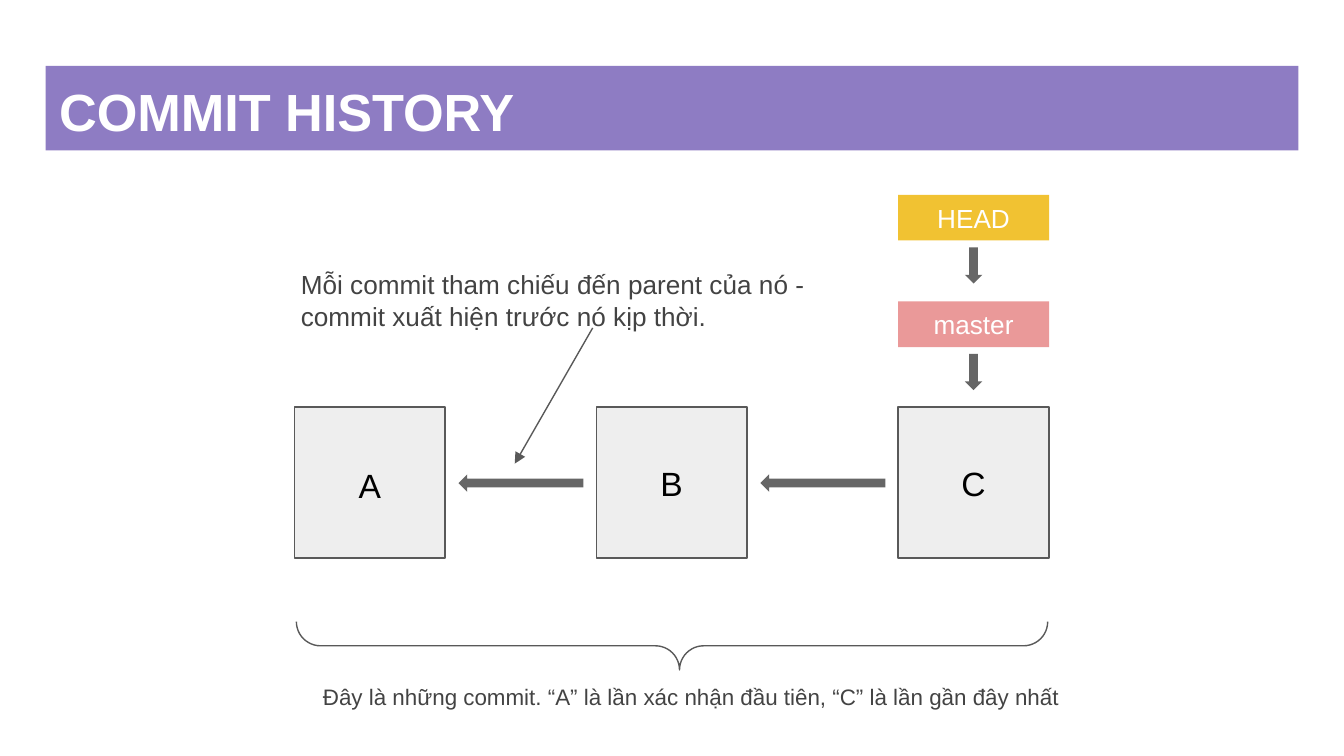
"""Build the commit history slide on a grid of 100 columns by 56.25 rows."""
from dataclasses import dataclass

from lxml.etree import SubElement
from pptx import Presentation
from pptx.dml.color import RGBColor
from pptx.enum.shapes import MSO_CONNECTOR, MSO_SHAPE
from pptx.enum.text import MSO_ANCHOR, MSO_AUTO_SIZE, PP_ALIGN
from pptx.oxml.ns import qn
from pptx.util import Inches, Pt


@dataclass(frozen=True)
class Theme:
    """Colours, font and type sizes of the slide."""
    font: str = "Arial"
    title_fill: str = "8E7CC3"
    commit_fill: str = "EEEEEE"
    head_fill: str = "F1C232"
    master_fill: str = "EA9999"
    arrow_fill: str = "666666"
    outline: str = "595959"
    light: str = "FFFFFF"
    body: str = "434343"
    dark: str = "000000"
    title_size: int = 28
    commit_size: int = 18
    label_size: int = 14
    caption_size: int = 12
    line_width: float = 0.75


class SlideBuilder:
    """Draws elements at (column, row, columns, rows) in the theme's style."""

    def __init__(self, presentation, theme):
        """Add a title-only slide to the presentation."""
        self.theme = theme
        self.cell = presentation.slide_width / 100
        self.slide = presentation.slides.add_slide(presentation.slide_layouts[5])

    def place(self, area):
        """Turn grid units into slide lengths."""
        return [round(value * self.cell) for value in area]

    def fill_text(self, shape, text, size, color, align=PP_ALIGN.CENTER,
                  anchor=MSO_ANCHOR.MIDDLE, bold=False):
        """Put one formatted run in a shape."""
        frame = shape.text_frame
        frame.word_wrap = True
        frame.auto_size = MSO_AUTO_SIZE.NONE
        frame.vertical_anchor = anchor
        frame.margin_left = frame.margin_right = Inches(0.1)
        frame.margin_top = frame.margin_bottom = Inches(0.1)
        paragraph = frame.paragraphs[0]
        paragraph.alignment = align
        run = paragraph.add_run()
        run.text = text
        run.font.name = self.theme.font
        run.font.size = Pt(size)
        run.font.bold = bold
        run.font.color.rgb = RGBColor.from_string(color)

    def outline(self, line):
        """Give a line the theme's thin stroke."""
        line.color.rgb = RGBColor.from_string(self.theme.outline)
        line.width = Pt(self.theme.line_width)

    def title(self, text, area):
        """Format the title placeholder as a coloured band."""
        shape = self.slide.shapes.title
        shape.left, shape.top, shape.width, shape.height = self.place(area)
        shape.fill.solid()
        shape.fill.fore_color.rgb = RGBColor.from_string(self.theme.title_fill)
        self.fill_text(shape, text, self.theme.title_size, self.theme.light,
                       PP_ALIGN.LEFT, MSO_ANCHOR.TOP, True)

    def shape(self, kind, area, fill=None, outlined=False):
        """Add a preset shape."""
        shape = self.slide.shapes.add_shape(kind, *self.place(area))
        shape.shadow.inherit = False
        if fill:
            shape.fill.solid()
            shape.fill.fore_color.rgb = RGBColor.from_string(fill)
        else:
            shape.fill.background()
        if outlined:
            self.outline(shape.line)
        else:
            shape.line.fill.background()
        return shape

    def text(self, text, area, size, color, **style):
        """Add a text box."""
        box = self.slide.shapes.add_textbox(*self.place(area))
        self.fill_text(box, text, size, color, **style)
        return box

    def label(self, text, area, fill):
        """Add a filled reference label."""
        shape = self.shape(MSO_SHAPE.RECTANGLE, area, fill)
        self.fill_text(shape, text, self.theme.label_size, self.theme.light)

    def brace(self, area, tip):
        """Add a brace that opens upward."""
        shape = self.shape(MSO_SHAPE.LEFT_BRACE, area, outlined=True)
        shape.rotation = 270
        shape.adjustments[0] = 0.5
        shape.adjustments[1] = tip

    def pointer(self, box, start, end):
        """Add a thin arrow from the bottom of a box to a point."""
        connector = self.slide.shapes.add_connector(
            MSO_CONNECTOR.STRAIGHT, *self.place(start + end))
        connector.begin_connect(box, 2)
        self.outline(connector.line)
        properties = connector.element.spPr
        SubElement(properties.get_or_add_ln(), qn("a:tailEnd"), type="triangle")
        SubElement(properties, qn("a:effectLst"))


def main():
    """Build and save the slide."""
    presentation = Presentation()
    presentation.slide_width, presentation.slide_height = Inches(10), Inches(5.625)
    theme = Theme()
    builder = SlideBuilder(presentation, theme)
    builder.title("COMMIT HISTORY", (3.4, 4.9, 93.2, 6.3))

    side, first, last, commit_row = 11.23, 21.9, 66.83, 30.3
    pitch = (last - first) / 2
    for index, (name, drop) in enumerate((("A", 0.2), ("B", 0), ("C", 0))):
        left = first + index * pitch
        builder.shape(MSO_SHAPE.RECTANGLE, (left, commit_row, side, side),
                      theme.commit_fill, True)
        builder.text(name, (left, commit_row + drop, side, side),
                     theme.commit_size, theme.dark)
        if index:
            builder.shape(MSO_SHAPE.LEFT_ARROW,
                          (left - 10.25, commit_row + 5, 9.3, 1.3), theme.arrow_fill)

    references = (("HEAD", theme.head_fill), ("master", theme.master_fill))
    for index, (name, fill) in enumerate(references):
        top = 14.5 + index * 7.93
        builder.label(name, (last, top, side, 3.4), fill)
        builder.shape(MSO_SHAPE.DOWN_ARROW,
                      (last + side / 2 - 0.65, top + 3.9, 1.3, 2.7), theme.arrow_fill)

    builder.brace((48.2, 20.1, 3.6, 55.9), 0.51)
    builder.text("Đây là những commit. “A” là lần xác nhận đầu tiên, “C” là lần gần đây nhất",
                 (22, 49.8, 58.9, 3.4), theme.caption_size, theme.body,
                 anchor=MSO_ANCHOR.TOP)
    note = builder.text(
        "Mỗi commit tham chiếu đến parent của nó - commit xuất hiện trước nó kịp thời.",
        (21.4, 19, 45.4, 5.4), theme.label_size, theme.body,
        align=PP_ALIGN.LEFT, anchor=MSO_ANCHOR.TOP)
    builder.pointer(note, (44.1, 24.4), (38.3, 34.5))
    presentation.save("out.pptx")


if __name__ == "__main__":
    main()
